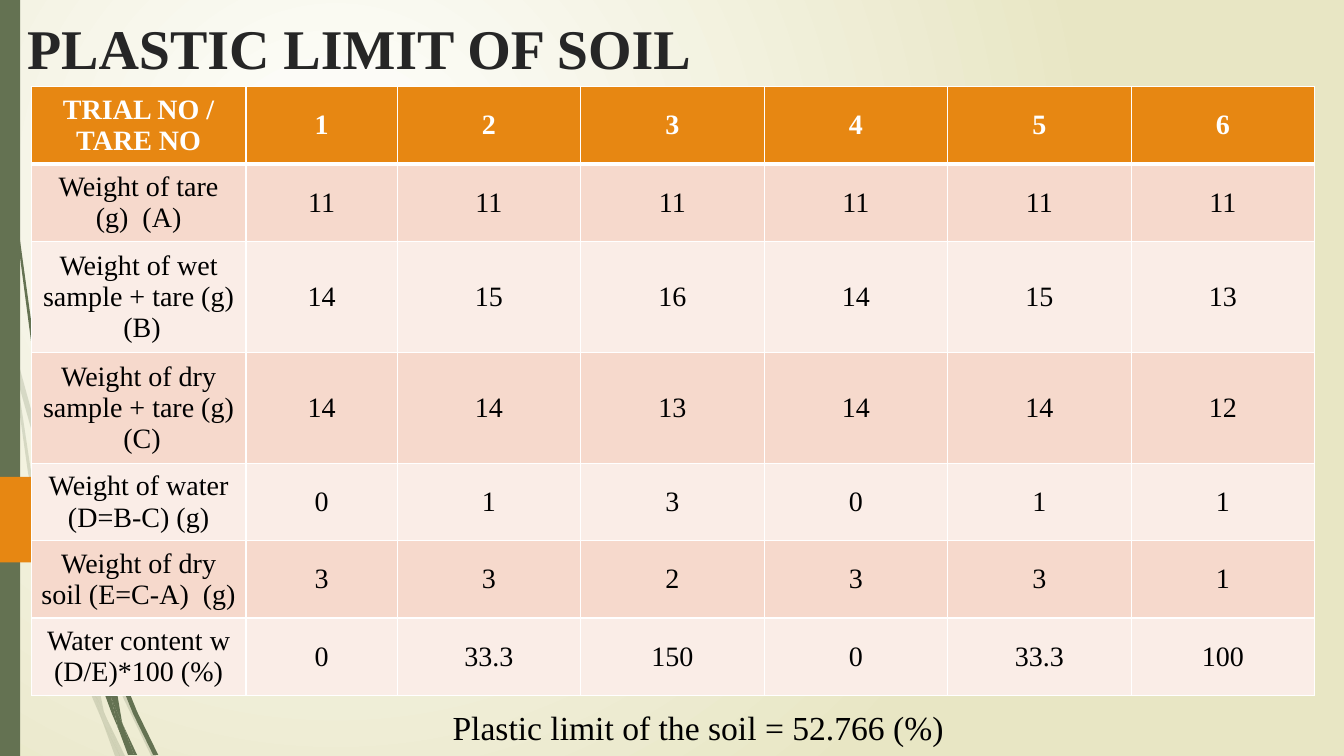
from dataclasses import dataclass

from lxml import etree
from pptx import Presentation
from pptx import util as u
from pptx.dml.color import RGBColor
from pptx.enum import shapes, text
from pptx.oxml.ns import qn


@dataclass(frozen=True)
class Theme:
    font: str = "Times New Roman"
    green: str = "647252"
    orange: str = "E78712"
    white: str = "FFFFFF"
    sand: str = "E8E6C4"
    title: str = "262626"
    black: str = "000000"
    bands: tuple = ("F6D9CC", "FAEDE7")
    title_size: int = 40
    result_size: int = 24
    table_size: int = 20
    faint_alpha: int = 20


THEME = Theme()

COLUMN_WIDTHS = [2.13, 1.5] + [1.82] * 5
ROW_HEIGHTS = [0.58, 0.74, 1.05, 1.05, 0.74, 0.74, 0.74]
TRIALS = [
    ["TRIAL NO / TARE NO", "1", "2", "3", "4", "5", "6"],
    ["Weight of tare (g)  (A)", "11", "11", "11", "11", "11", "11"],
    ["Weight of wet sample + tare (g)  (B)", "14", "15", "16", "14", "15", "13"],
    ["Weight of dry sample + tare (g)  (C)", "14", "14", "13", "14", "14", "12"],
    ["Weight of water (D=B-C) (g)", "0", "1", "3", "0", "1", "1"],
    ["Weight of dry soil (E=C-A)  (g)", "3", "3", "2", "3", "3", "1"],
    ["Water content w (D/E)*100 (%)", "0", "33.3", "150", "0", "33.3", "100"],
]

FAINT_STALKS = [
    [(0.11, 3.5), (0.09, 3.22), (0, 2.82), (0, 2.99), (0.1, 3.44)],
    [(0.58, 5.22), (0.84, 5.99), (0.85, 5.86), (0.62, 5.2), (0.14, 3.45), (0.17, 3.76)],
    [(0.92, 6.07), (0.88, 5.96), (0.88, 6.1), (1.23, 6.94), (1.5, 7.5), (1.55, 7.5),
     (1.27, 6.92)],
    [(1.19, 7.5), (1.24, 7.5), (1.05, 7.11)],
    [(0.93, 6.83), (0.7, 6.19), (0.31, 4.69), (0.17, 3.76), (0.11, 3.5), (0.28, 4.7),
     (0.65, 6.21), (0.92, 6.93), (1.01, 7.14), (0.99, 7.07)],
    [(0.84, 5.99), (0.87, 6.46), (0.93, 6.83), (0.96, 6.92), (1.05, 7.11), (1.03, 7.06),
     (0.91, 6.46), (0.88, 6.1), (0.88, 6.08)],
    [(0.88, 5.84), (1.1, 4.62), (1.6, 3.49), (2.29, 2.45), (2.68, 1.98), (3.12, 1.54),
     (3.12, 1.53), (2.68, 1.97), (2.28, 2.44), (1.58, 3.48), (1.07, 4.61), (0.85, 5.84),
     (0.85, 5.86), (0.88, 5.96)],
    [(1.01, 7.14), (1.14, 7.5), (1.19, 7.5)],
    [(0.88, 6.08), (0.88, 5.96), (0.85, 5.86), (0.84, 5.99)],
    [(0.96, 6.92), (0.93, 6.83), (0.99, 7.07), (1.01, 7.14), (1.19, 7.5), (1.05, 7.11)],
]
SOLID_STALKS = [
    [(0.07, 1.1), (0.17, 2.33), (0.33, 3.55), (0.56, 4.77), (0.57, 4.81), (0.55, 4.53),
     (0.36, 3.55), (0.19, 2.32), (0.08, 1.09), (0.05, 0.48), (0.04, 0), (0.03, 0),
     (0.04, 0.48)],
    [(0.88, 5.92), (1.06, 6.45), (1.06, 6.31), (0.93, 5.9), (0.6, 4.72), (0.64, 5.05)],
    [(1.13, 6.49), (1.1, 6.41), (1.11, 6.56), (1.32, 7.08), (1.52, 7.49), (1.57, 7.49),
     (1.36, 7.06)],
    [(1.1, 6.91), (0.98, 6.57), (0.72, 5.56), (0.64, 5.05), (0.57, 4.77), (0.68, 5.57),
     (0.93, 6.59), (1.11, 7.08), (1.17, 7.22), (1.16, 7.17)],
    [(0.6, 4.72), (0.58, 4.53), (0.54, 3.49), (0.58, 2.45), (0.63, 1.93), (0.7, 1.41),
     (0.62, 1.93), (0.56, 2.45), (0.52, 3.49), (0.55, 4.49)],
    [(1.33, 7.49), (1.36, 7.49), (1.22, 7.19)],
    [(0.57, 4.77), (0.64, 5.05), (0.6, 4.72), (0.55, 4.49), (0.55, 4.53)],
    [(1.11, 6.33), (1.25, 5.52), (1.58, 4.76), (2.05, 4.06), (2.31, 3.74), (2.61, 3.44),
     (2.31, 3.73), (2.04, 4.05), (1.56, 4.74), (1.22, 5.51), (1.06, 6.31), (1.1, 6.41)],
    [(1.17, 7.22), (1.27, 7.49), (1.31, 7.49)],
    [(1.06, 6.45), (1.1, 6.91), (1.16, 7.06), (1.22, 7.19), (1.21, 7.16), (1.11, 6.56),
     (1.09, 6.51)],
    [(1.06, 6.45), (1.09, 6.51), (1.11, 6.56), (1.1, 6.41), (1.06, 6.31)],
    [(1.16, 7.06), (1.1, 6.91), (1.16, 7.17), (1.17, 7.22), (1.3, 7.49), (1.33, 7.49),
     (1.22, 7.19)],
]


def rgb(value):
    return RGBColor.from_string(value)


def paint_background(slide):
    fill = slide.background.fill
    fill.gradient()
    for stop, color in zip(fill.gradient_stops, (THEME.white, THEME.sand)):
        stop.color.rgb = rgb(color)
    gradient = next(slide.background._cSld.iter(qn("a:gradFill")))
    for linear in gradient.findall(qn("a:lin")):
        gradient.remove(linear)
    circle = etree.SubElement(gradient, qn("a:path"), {"path": "circle"})
    etree.SubElement(circle, qn("a:fillToRect"),
                     {"l": "50000", "t": "50000", "r": "100000", "b": "100000"})


def paint_shape(shape, color, alpha=100):
    shape.shadow.inherit = False
    shape.fill.solid()
    shape.fill.fore_color.rgb = rgb(color)
    shape.line.fill.background()
    if alpha < 100:
        solid = shape._element.spPr.find(qn("a:solidFill"))
        etree.SubElement(solid[0], qn("a:alpha"), {"val": str(alpha * 1000)})


def add_stalk(slide, outline, alpha=100):
    points = [(u.Inches(x), u.Inches(y)) for x, y in outline]
    builder = slide.shapes.build_freeform(*points[0])
    builder.add_line_segments(points[1:], close=True)
    paint_shape(builder.convert_to_shape(), THEME.green, alpha)


def add_block(slide, preset, left, top, width, height, color):
    shape = slide.shapes.add_shape(preset, *map(u.Inches, (left, top, width, height)))
    paint_shape(shape, color)


def write(paragraph, words, size, color, bold=False):
    run = paragraph.add_run()
    run.text = words
    run.font.name = THEME.font
    run.font.size = u.Pt(size)
    run.font.bold = bold
    run.font.color.rgb = rgb(color)


def add_label(slide, box, words, size, color, bold=False, anchor=text.MSO_ANCHOR.TOP):
    frame = slide.shapes.add_textbox(*map(u.Inches, box)).text_frame
    frame.word_wrap = True
    frame.vertical_anchor = anchor
    write(frame.paragraphs[0], words, size, color, bold)


def add_borders(cell, bottom):
    properties = cell._tc.get_or_add_tcPr()
    for side, points in (("lnL", 1), ("lnR", 1), ("lnT", 1), ("lnB", bottom)):
        line = etree.SubElement(properties, qn(f"a:{side}"), {"w": str(u.Pt(points))})
        solid = etree.SubElement(line, qn("a:solidFill"))
        etree.SubElement(solid, qn("a:srgbClr"), {"val": THEME.white})


def fill_cell(cell, words, row):
    header = row == 0
    add_borders(cell, 3 if header else 1)
    cell.fill.solid()
    cell.fill.fore_color.rgb = rgb(THEME.orange if header else THEME.bands[(row - 1) % 2])
    cell.vertical_anchor = text.MSO_ANCHOR.MIDDLE
    paragraph = cell.text_frame.paragraphs[0]
    paragraph.alignment = text.PP_ALIGN.CENTER
    write(paragraph, words, THEME.table_size, THEME.white if header else THEME.black, header)


def add_trial_table(slide):
    table = slide.shapes.add_table(
        len(TRIALS), len(COLUMN_WIDTHS), u.Inches(0.31), u.Inches(0.86),
        u.Inches(sum(COLUMN_WIDTHS)), u.Inches(sum(ROW_HEIGHTS))).table
    for column, width in zip(table.columns, COLUMN_WIDTHS):
        column.width = u.Inches(width)
    for row, height in zip(table.rows, ROW_HEIGHTS):
        row.height = u.Inches(height)
    for row, values in enumerate(TRIALS):
        for column, words in enumerate(values):
            fill_cell(table.cell(row, column), words, row)


def main():
    presentation = Presentation()
    presentation.slide_width = u.Inches(13.33)
    presentation.slide_height = u.Inches(7.5)
    slide = presentation.slides.add_slide(presentation.slide_layouts[6])
    paint_background(slide)
    for outline in FAINT_STALKS:
        add_stalk(slide, outline, THEME.faint_alpha)
    for outline in SOLID_STALKS:
        add_stalk(slide, outline)
    add_block(slide, shapes.MSO_SHAPE.RECTANGLE, 0, 0, 0.2, 7.5, THEME.green)
    add_block(slide, shapes.MSO_SHAPE.PENTAGON, 0, 4.73, 1.91, 0.85, THEME.orange)
    add_label(slide, (0.17, 0.04, 7.15, 0.81), "PLASTIC LIMIT OF SOIL",
              THEME.title_size, THEME.title, True, text.MSO_ANCHOR.BOTTOM)
    add_trial_table(slide)
    add_label(slide, (4.39, 6.96, 6.39, 0.5), "Plastic limit of the soil = 52.766 (%)",
              THEME.result_size, THEME.black)
    presentation.save("out.pptx")


if __name__ == "__main__":
    main()
